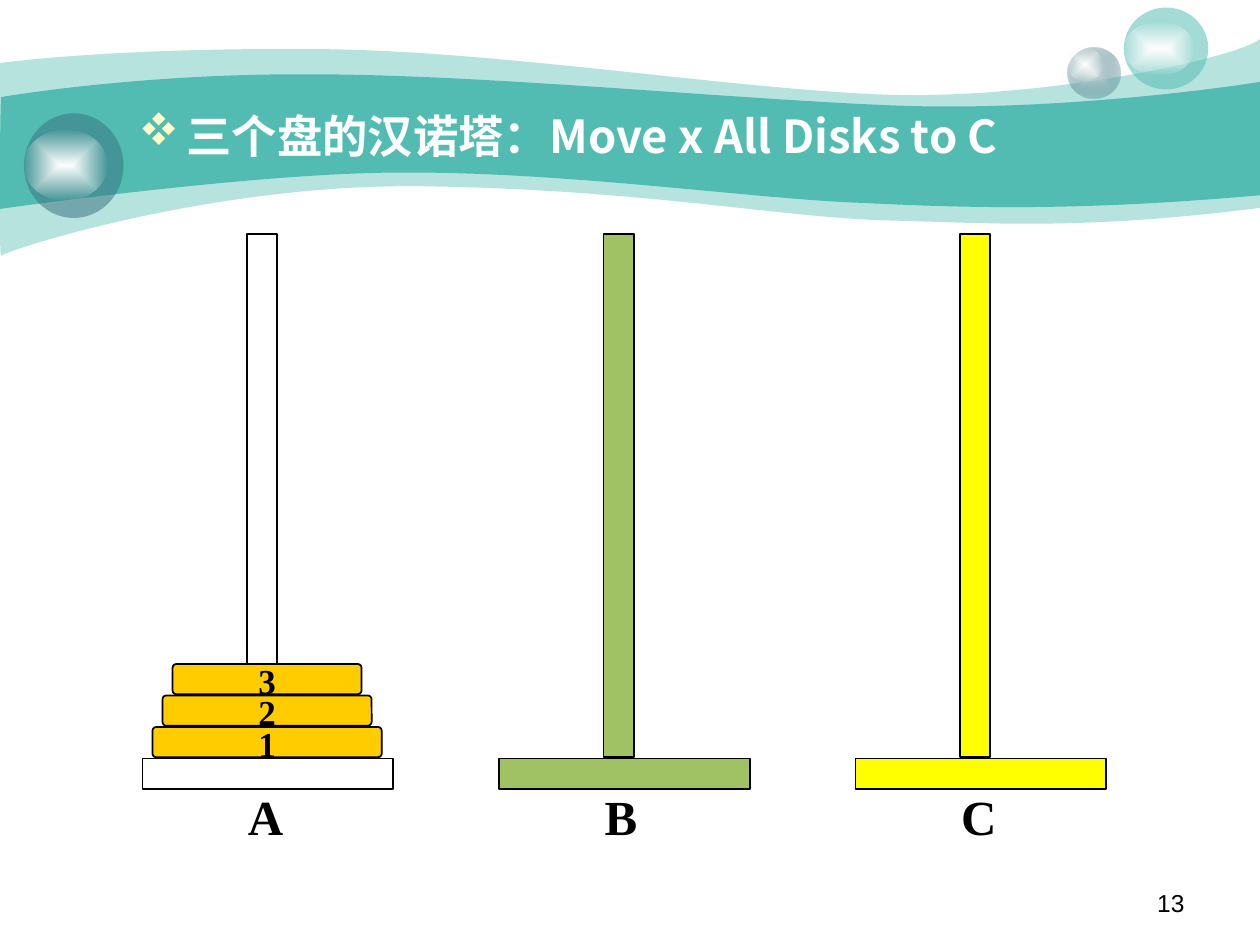
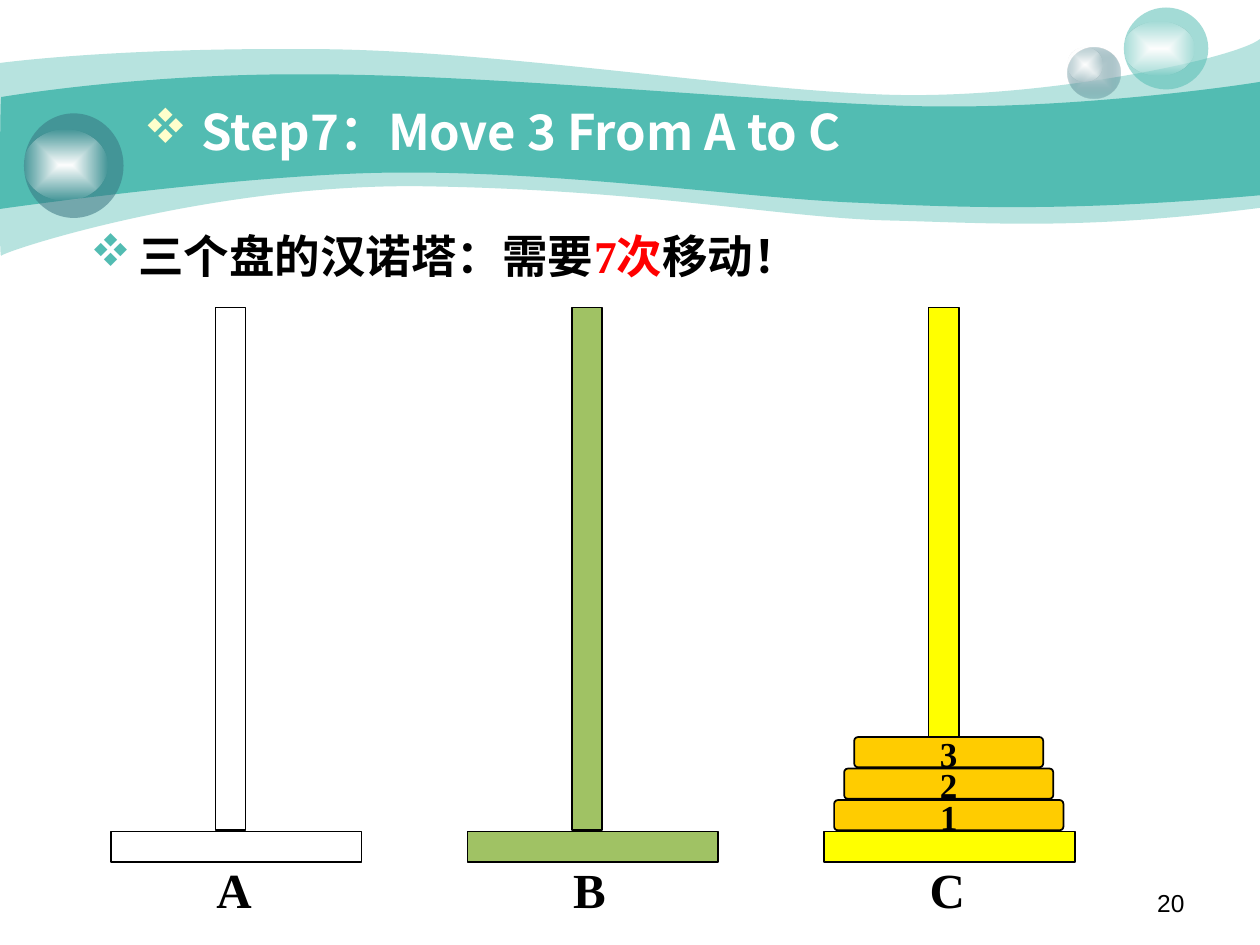
"""Build two slides on the three-disk Tower of Hanoi."""
from lxml import etree
from pptx import Presentation
from pptx.dml.color import RGBColor
from pptx.enum.shapes import MSO_SHAPE
from pptx.enum.text import MSO_ANCHOR, MSO_AUTO_SIZE, PP_ALIGN
from pptx.oxml import parse_xml
from pptx.oxml.ns import qn
from pptx.util import Inches, Pt

RECT, ROUND, OVAL = MSO_SHAPE.RECTANGLE, MSO_SHAPE.ROUNDED_RECTANGLE, MSO_SHAPE.OVAL
TOP, MIDDLE = MSO_ANCHOR.TOP, MSO_ANCHOR.MIDDLE
LEFT, CENTER, RIGHT = PP_ALIGN.LEFT, PP_ALIGN.CENTER, PP_ALIGN.RIGHT
FIXED = MSO_AUTO_SIZE.NONE
BLACK, WHITE = RGBColor(0, 0, 0), RGBColor(255, 255, 255)
TEAL, SLATE = RGBColor(0x52, 0xBC, 0xB2), RGBColor(0x37, 0x73, 0x7F)
MIST, CREAM = RGBColor(0xCC, 0xDB, 0xDE), RGBColor(0xFF, 0xFF, 0xCC)
GREEN, YELLOW = RGBColor(0xA0, 0xC2, 0x64), RGBColor(255, 255, 0)
GOLD, RED = RGBColor(0xFF, 0xCC, 0), RGBColor(255, 0, 0)
SANS, SERIF, PLAIN = "Noto Sans CJK SC", "Times New Roman", "Arial"
DRAW = "http://schemas.openxmlformats.org/drawingml/2006/main"


def paint(shape, color, alpha=100, core=None):
    """Fill a shape plainly, or from a core colour outwards."""
    shape.shadow.inherit = False
    shape.line.fill.background()
    shape.fill.solid()
    shape.fill.fore_color.rgb = color
    solid = shape.element.spPr.find(qn("a:solidFill"))
    if core is not None:
        grad = parse_xml(
            f'<a:gradFill xmlns:a="{DRAW}" rotWithShape="1"><a:gsLst>'
            f'<a:gs pos="0"><a:srgbClr val="{core}"/></a:gs>'
            f'<a:gs pos="100000"><a:srgbClr val="{color}">'
            f'<a:alpha val="{alpha * 1000}"/></a:srgbClr></a:gs></a:gsLst>'
            '<a:path path="rect"><a:fillToRect l="50000" t="50000" r="50000" '
            'b="50000"/></a:path></a:gradFill>')
        solid.getparent().replace(solid, grad)
    elif alpha < 100:
        etree.SubElement(solid[0], qn("a:alpha"), val=str(alpha * 1000))


def write(shape, runs, size, font, align=LEFT, bold=True, anchor=TOP,
          bullet=None, indent=0.38, space=1.0):
    """Write one paragraph of (text, colour) runs into a shape."""
    frame = shape.text_frame
    frame.word_wrap = True
    frame.auto_size = FIXED
    frame.vertical_anchor = anchor
    para = frame.paragraphs[0]
    if bullet is not None:
        props = para._p.get_or_add_pPr()
        props.set("marL", str(Inches(indent)))
        props.set("indent", str(-Inches(indent)))
        props.set("hangingPunct", "0")
        tint = etree.SubElement(props, qn("a:buClr"))
        etree.SubElement(tint, qn("a:srgbClr"), val=str(bullet))
        etree.SubElement(props, qn("a:buFont"), typeface="Wingdings", charset="2")
        etree.SubElement(props, qn("a:buChar"), char="v")
    para.alignment = align
    para.line_spacing = space
    para.space_before = Pt(0)
    for text, color in runs:
        run = para.add_run()
        run.text = text
        run.font.size = Pt(size)
        run.font.name = font
        run.font.bold = bold
        run.font.color.rgb = color
        etree.SubElement(run._r.rPr, qn("a:ea"), typeface=SANS)


deck = Presentation()
deck.slide_width, deck.slide_height = Inches(10), Inches(7.5)
layout = deck.slide_layouts[5]
slides = [deck.slides.add_slide(layout) for _ in range(2)]

WAVES = [
    (41, (0, 0.5), [
        (0.24, 0.47, 1.07, 0.38, 2.47, 0.39), (3.86, 0.39, 5.75, 0.7, 6.99, 0.75),
        (8.22, 0.8, 9.8, 0.47, 10, 0.31), (10, 1.65),
        (8.58, 1.83, 7.87, 1.77, 7.05, 1.75), (6.22, 1.73, 5.15, 1.51, 3.43, 1.48),
        (1.72, 1.44, 0.04, 1.99, 0.01, 2.03), (-0.01, 2.08, 0, 0.75, 0, 0.5)]),
    (100, (0.01, 0.77), [
        (0.02, 0.77, 1.1, 0.58, 2.48, 0.59), (3.86, 0.59, 5.95, 0.8, 7.18, 0.84),
        (8.41, 0.88, 9.76, 0.69, 10, 0.65), (10, 1.55),
        (8.53, 1.68, 7.65, 1.65, 6.82, 1.61), (5.99, 1.58, 4.47, 1.36, 3.17, 1.37),
        (2.03, 1.37, -0.02, 1.66, -0.01, 1.66), (0, 1.66, 0, 0.77, 0.01, 0.77)]),
]
BALLS = [
    (8.47, 0.38, 0.42, 0.4, SLATE, 31, MIST),
    (8.47, 0.38, 0.28, 0.27, WHITE, 0, WHITE),
    (8.92, 0.06, 0.67, 0.65, TEAL, 53, None),
    (8.92, 0.17, 0.56, 0.43, WHITE, 0, WHITE),
    (0.19, 0.9, 0.79, 0.83, SLATE, 53, None),
    (0.19, 1.03, 0.66, 0.56, WHITE, 0, WHITE),
]
shapes = slides[0].shapes
decor = []
for alpha, start, curves in WAVES:
    ends = [[Inches(v) for v in curve[-2:]] for curve in curves]
    pen = shapes.build_freeform(*map(Inches, start))
    pen.add_line_segments(ends, close=True)
    wave = pen.convert_to_shape()
    x, y = wave.left, wave.top
    for line, curve in zip(list(wave.element.iter(qn("a:lnTo"))), curves):
        if len(curve) == 6:
            bend = etree.Element(qn("a:cubicBezTo"))
            for i in (0, 2, 4):
                etree.SubElement(bend, qn("a:pt"), x=str(Inches(curve[i]) - x),
                                 y=str(Inches(curve[i + 1]) - y))
            line.getparent().replace(line, bend)
    paint(wave, TEAL, alpha)
    decor.append(wave)
for x, y, w, h, color, alpha, core in BALLS:
    ball = shapes.add_shape(OVAL, Inches(x), Inches(y), Inches(w), Inches(h))
    paint(ball, color, alpha, core)
    decor.append(ball)
for shape in decor:
    layout.shapes.element.append(shape.element)

PAGES = [
    ("13", "三个盘的汉诺塔：Move x All Disks to C", (1, 0.89, 8.58, 0.61),
     25.9, 0.38, 0.8, 1.13, 1.86, 0),
    ("20", "Step7：Move 3 From A to C", (1.04, 0.81, 7.05, 0.61),
     28, 0.46, 0.9, 0.88, 2.44, 2),
]
PEGS = [("A", WHITE), ("B", GREEN), ("C", YELLOW)]
for slide, page in zip(slides, PAGES):
    number, head, place, size, indent, space, left, top, home = page
    shapes = slide.shapes
    title = shapes.title
    title.left, title.top, title.width, title.height = map(Inches, place)
    write(title, [(head, WHITE)], size, SANS, bullet=CREAM, indent=indent, space=space)
    foot = shapes.add_textbox(Inches(7.17), Inches(7), Inches(2.33), Inches(0.35))
    write(foot, [(number, BLACK)], 14, PLAIN, RIGHT, bold=False)
    if slide is slides[1]:
        note = shapes.add_textbox(Inches(0.62), Inches(1.81), Inches(5.96), Inches(0.61))
        runs = [("三个盘的汉诺塔：需要", BLACK), ("7次", RED), ("移动！", BLACK)]
        write(note, runs, 26, SERIF, bullet=TEAL, space=0.9)

    floor = top + 4.16
    bars = []
    for i, (name, color) in enumerate(PEGS):
        x = left + 2.83 * i
        bars.append((RECT, x, floor, 1.99, 0.24, color, ""))
        bars.append((RECT, x + 0.83, top, 0.24, 4.15, color, ""))
        label = shapes.add_textbox(Inches(x + 0.74), Inches(floor + 0.17),
                                   Inches(1), Inches(0.57))
        write(label, [(name, BLACK)], 28, SERIF)
    for k in range(3):
        x = left + 2.83 * home + 0.08 * (k + 1)
        bars.append((ROUND, x, floor - 0.25 * (k + 1), 1.82 - 0.16 * k, 0.24,
                     GOLD, str(k + 1)))
    for kind, x, y, w, h, color, text in bars:
        bar = shapes.add_shape(kind, Inches(x), Inches(y), Inches(w), Inches(h))
        paint(bar, color)
        bar.line.color.rgb = BLACK
        bar.line.width = Pt(1)
        if text:
            bar.adjustments[0] = 0.125
            bar.text_frame.margin_top = Inches(0.02)
            bar.text_frame.margin_bottom = 0
            write(bar, [(text, BLACK)], 20, SERIF, CENTER, anchor=MIDDLE)

deck.save("out.pptx")
